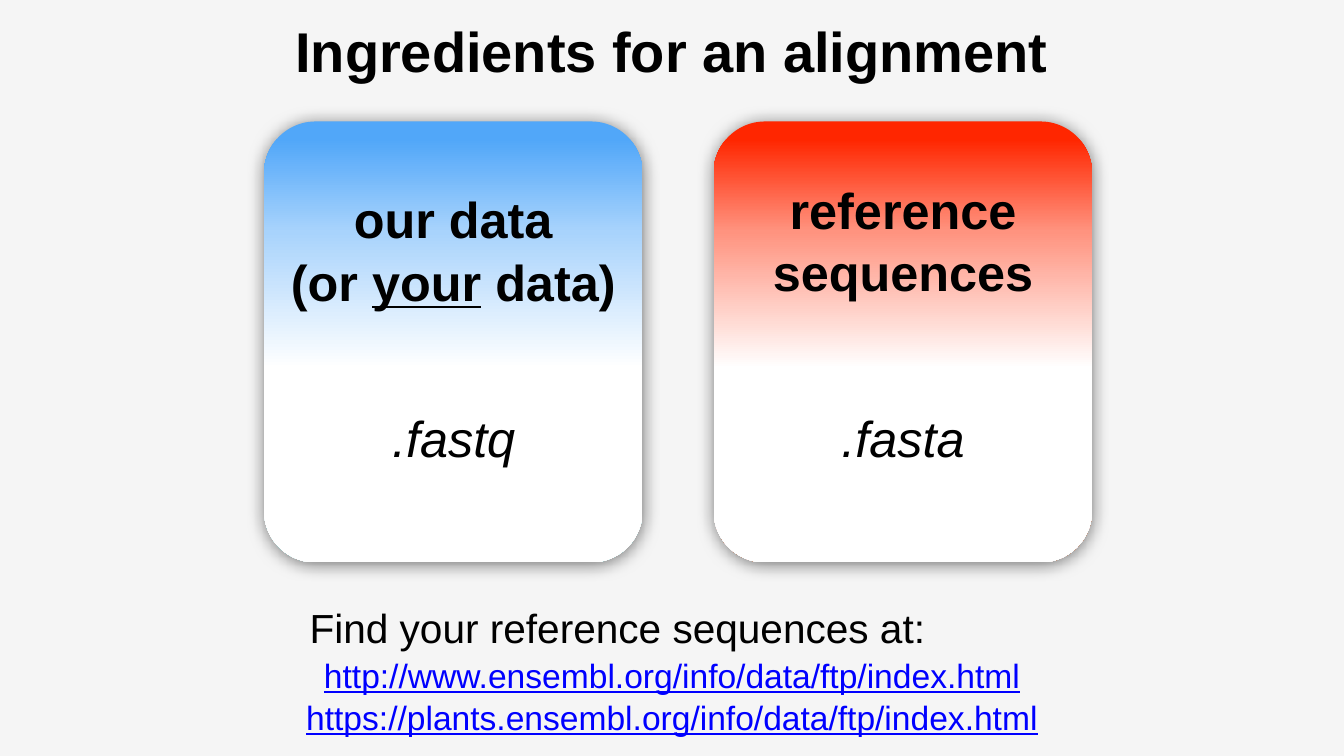
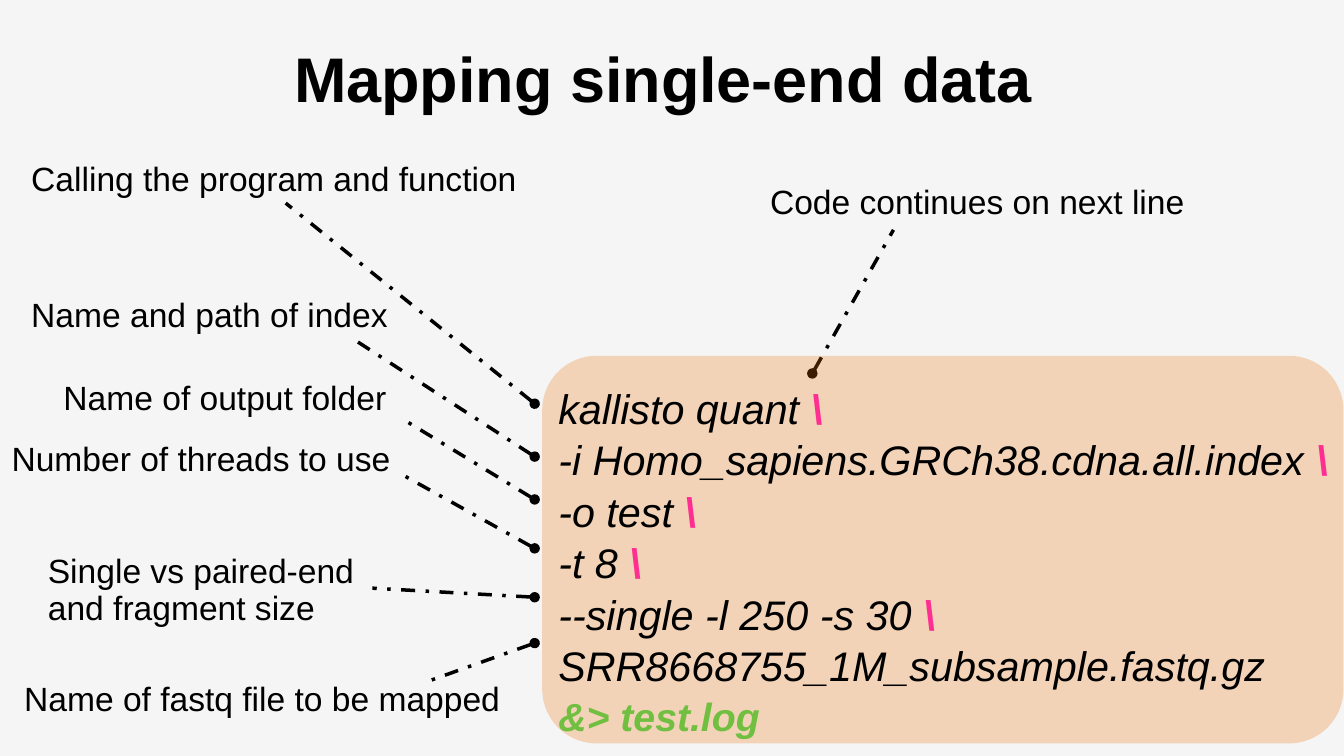
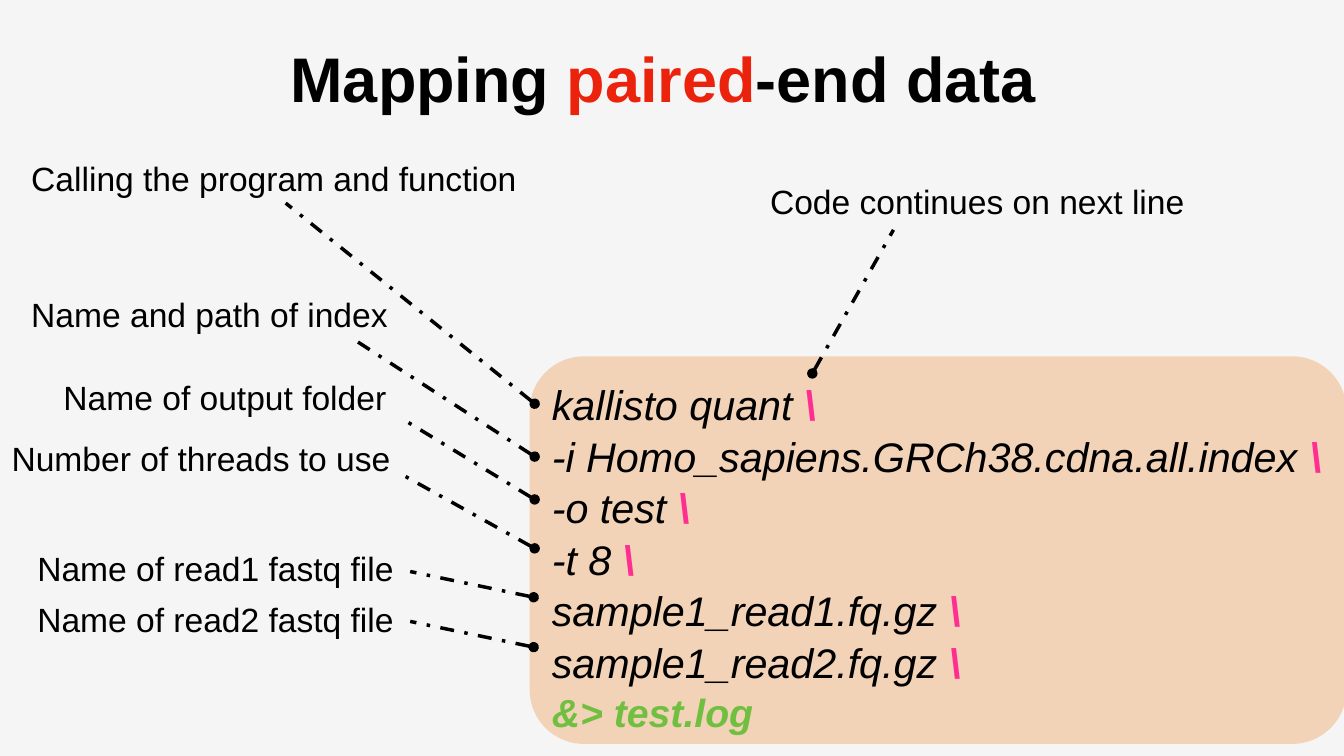
from lxml.etree import SubElement
from pptx import Presentation
from pptx.dml.color import RGBColor
from pptx.enum.dml import MSO_LINE
from pptx.enum.shapes import MSO_CONNECTOR, MSO_SHAPE
from pptx.enum.text import MSO_ANCHOR, MSO_AUTO_SIZE, PP_ALIGN
from pptx.oxml.ns import qn
from pptx.util import Inches, Pt

FONT = "Arial"
COLORS = {
    "back": "F5F5F5", "ink": "000000", "blue": "51A7F9", "pale blue": "A8D3FC",
    "red": "FF2600", "pale red": "FF937F", "white": "FFFFFF", "link": "0000FF",
    "paired": "EB220C", "panel": "EF7001", "slash": "FF2F92", "log": "70BF41",
}

# Each paragraph is a list of (text, style) runs.
BOLD = {"bold": True}
CARDS = [
    {"left": 5.24, "tints": ("blue", "pale blue"),
     "head": [[("our data", BOLD)],
              [("(or ", BOLD), ("your", {"bold": True, "underline": True}),
               (" data)", BOLD)]],
     "head_at": (5.69, 3.66, 6.61, 2.55),
     "file": ".fastq", "file_at": (7.67, 7.98, 2.67, 1.35)},
    {"left": 14.16, "tints": ("red", "pale red"),
     "head": [[("reference", BOLD)], [("sequences", BOLD)]],
     "head_at": (15.25, 3.47, 5.34, 2.55),
     "file": ".fasta", "file_at": (16.61, 7.98, 2.62, 1.35)},
]
LINKS = ["http://www.ensembl.org/info/data/ftp/index.html",
         "https://plants.ensembl.org/info/data/ftp/index.html"]

# Label, box, dot end of the pointer, label end of the pointer.
SHARED = [
    ("Calling the program and function", (0.56, 3.14, 9.89, 0.88),
     (10.61, 8.01), (5.67, 4.03)),
    ("Name and path of index", (0.56, 5.85, 7.29, 0.88),
     (10.61, 9.06), (7, 6.72)),
    ("Name of output folder", (1.2, 7.48, 6.67, 0.88),
     (10.61, 9.91), (7.95, 8.29)),
    ("Number of threads to use", (0.17, 8.69, 7.73, 0.88),
     (10.61, 10.88), (7.95, 9.4)),
    ("Code continues on next line", (15.22, 3.62, 9.89, 0.84),
     (16.12, 7.41), (17.73, 4.56)),
]
SINGLE = [
    ("Single vs paired-end and fragment size", (0.89, 10.93, 7.29, 1.6),
     (10.61, 11.85), (7.39, 11.67)),
    ("Name of fastq file to be mapped", (0.42, 13.47, 9.78, 0.88),
     (10.61, 12.76), (8.43, 13.54)),
]
PAIRED = [
    (f"Name of read{n} fastq file", (0.68, 9.53 + n, 7.54, 1.6),
     (10.59, 10.86 + 0.99 * n), (8.14, 10.35 + 0.99 * n))
    for n in (1, 2)
]
START = ["kallisto quant \\", "-i Homo_sapiens.GRCh38.cdna.all.index \\",
         "-o test \\", "-t 8 \\"]
LOG = "&> test.log"
SINGLE_CODE = START + ["--single -l 250 -s 30 \\",
                       "SRR8668755_1M_subsample.fastq.gz", LOG]
PAIRED_CODE = START + ["sample1_read1.fq.gz \\", "sample1_read2.fq.gz \\", LOG]


def color(name):
    return RGBColor.from_string(COLORS[name])


def inches(at):
    return [Inches(v) for v in at]


def write(shape, paras, size, align=PP_ALIGN.CENTER, anchor=MSO_ANCHOR.MIDDLE,
          wrap=False, inset=0.08, spacing=1.04):
    frame = shape.text_frame
    frame.auto_size = MSO_AUTO_SIZE.NONE
    frame.word_wrap = wrap
    frame.vertical_anchor = anchor
    frame.margin_left = frame.margin_right = Inches(inset)
    frame.margin_top = frame.margin_bottom = Inches(inset)
    for i, runs in enumerate(paras):
        para = frame.paragraphs[0] if i == 0 else frame.add_paragraph()
        para.alignment = align
        para.line_spacing = spacing
        for text, style in runs:
            run = para.add_run()
            run.text = text
            font = run.font
            font.name = FONT
            font.size = Pt(style.get("size", size))
            font.bold = style.get("bold", False)
            font.italic = style.get("italic", False)
            font.underline = style.get("underline", False)
            font.color.rgb = color(style.get("color", "ink"))


def add_text(shapes, at, paras, size, **look):
    box = shapes.add_textbox(*inches(at))
    write(box, paras, size, **look)
    return box


def add_slide(prs, at, runs, size):
    slide = prs.slides.add_slide(prs.slide_layouts[5])
    title = slide.shapes.title
    title.left, title.top, title.width, title.height = inches(at)
    write(title, [[(text, {"bold": True, **style}) for text, style in runs]],
          size, spacing=1)
    return slide


def add_round(slide, at, bend):
    shape = slide.shapes.add_shape(MSO_SHAPE.ROUNDED_RECTANGLE, *inches(at))
    shape.adjustments[0] = bend
    shape.line.fill.background()
    shape.shadow.inherit = False
    return shape


def add_tint(parent, name, alpha=None):
    tint = SubElement(parent, qn("a:srgbClr"), val=COLORS[name])
    if alpha:
        SubElement(tint, qn("a:alpha"), val=str(alpha * 1000))


def add_card(slide, card):
    shape = add_round(slide, (card["left"], 2.41, 7.51, 8.75), 0.136)
    shape.fill.gradient()
    shape.fill.gradient_angle = 270
    props = shape._element.spPr
    stops = props.find(".//" + qn("a:gsLst"))
    for stop in list(stops):
        stops.remove(stop)
    deep, pale = card["tints"]
    for pos, name in ((0, deep), (4, deep), (25, pale), (56, "white"), (100, "white")):
        add_tint(SubElement(stops, qn("a:gs"), pos=str(pos * 1000)), name)
    shade = SubElement(props.find(qn("a:effectLst")), qn("a:outerShdw"),
                       blurRad=str(Pt(25)), dist=str(Pt(2)), dir="5400000",
                       rotWithShape="0")
    add_tint(shade, "ink", 50)
    add_text(slide.shapes, card["head_at"], card["head"], 72)
    add_text(slide.shapes, card["file_at"], [[(card["file"], {"italic": True})]], 72)


def add_note(slide, label, at, dot, end):
    """Group a label with its dotted pointer."""
    group = slide.shapes.add_group_shape().shapes
    line = group.add_connector(MSO_CONNECTOR.STRAIGHT, *inches(dot + end))
    line.line.color.rgb = color("ink")
    line.line.width = Pt(5)
    line.line.dash_style = MSO_LINE.DASH_DOT
    SubElement(line.line._get_or_add_ln(), qn("a:headEnd"), type="oval")
    SubElement(line._element.spPr, qn("a:effectLst"))
    add_text(group, at, [[(label, {})]], 48, align=PP_ALIGN.LEFT,
             wrap=True, inset=0.06, spacing=0.9)


def add_panel(slide, at):
    panel = add_round(slide, at, 0.14)
    panel.fill.solid()
    panel.fill.fore_color.rgb = color("panel")
    tint = panel._element.spPr.find(qn("a:solidFill"))[0]
    SubElement(tint, qn("a:alpha"), val="25000")


def code_runs(line):
    if line == LOG:
        return [(line, {"italic": True, "bold": True, "size": 56, "color": "log"})]
    body = line.rstrip("\\")
    runs = [(body, {"italic": True})]
    if body != line:
        runs.append(("\\", {"italic": True, "bold": True, "color": "slash"}))
    return runs


def add_code(slide, at, lines):
    box = add_text(slide.shapes, at, [code_runs(line) for line in lines], 59,
                   align=PP_ALIGN.LEFT, anchor=MSO_ANCHOR.TOP, wrap=True)
    for para in box.text_frame.paragraphs:
        para.level = 3
        props = para._p.get_or_add_pPr()
        props.set("marL", str(Inches(1.46)))
        props.set("indent", "0")


def main():
    prs = Presentation()
    prs.slide_width, prs.slide_height = Inches(26.67), Inches(15)
    back = prs.slide_master.background.fill
    back.solid()
    back.fore_color.rgb = color("back")

    slide = add_slide(prs, (2.86, 0.25, 20.95, 1.49),
                      [("Ingredients for an alignment", {})], 80)
    for card in CARDS:
        add_card(slide, card)
    style = {"underline": True, "color": "link"}
    add_text(slide.shapes, (5.94, 12.88, 14.8, 2.58),
             [[(link, style)] for link in LINKS], 48, anchor=MSO_ANCHOR.TOP)
    add_text(slide.shapes, (6, 11.86, 12.5, 1.13),
             [[("Find your reference sequences at:", {})]], 58)

    slide = add_slide(prs, (5.75, 0.71, 15.17, 1.66),
                      [("Mapping single-end data ", {})], 90)
    for note in SHARED + SINGLE:
        add_note(slide, *note)
    add_panel(slide, (10.76, 7.06, 15.9, 7.69))
    add_code(slide, (9.54, 7.48, 18.45, 8.05), SINGLE_CODE)

    slide = add_slide(prs, (5.68, 0.71, 15.31, 1.66),
                      [("Mapping ", {}), ("paired", {"color": "paired"}),
                       ("-end data ", {})], 90)
    add_panel(slide, (10.51, 7.07, 16.21, 7.69))
    add_code(slide, (9.41, 7.41, 20.22, 7.06), PAIRED_CODE)
    for note in SHARED + PAIRED:
        add_note(slide, *note)

    prs.save("out.pptx")


if __name__ == "__main__":
    main()
